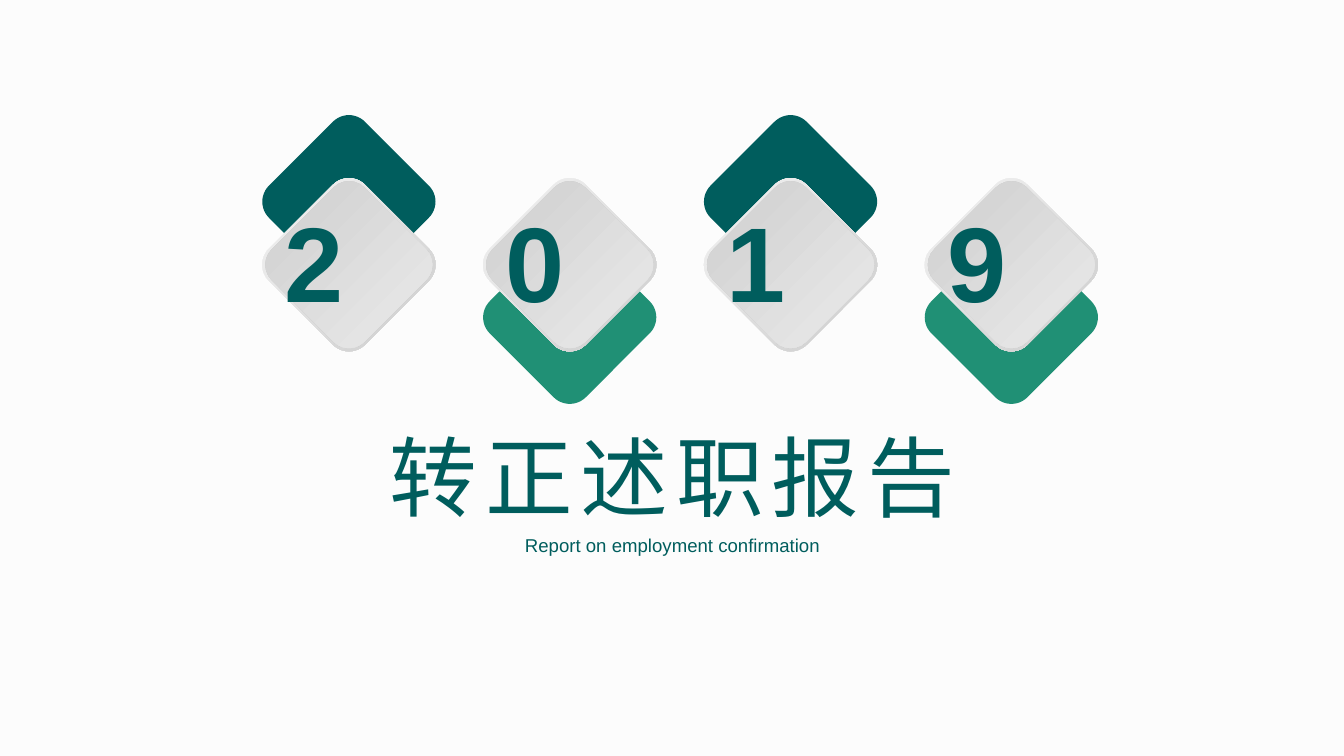
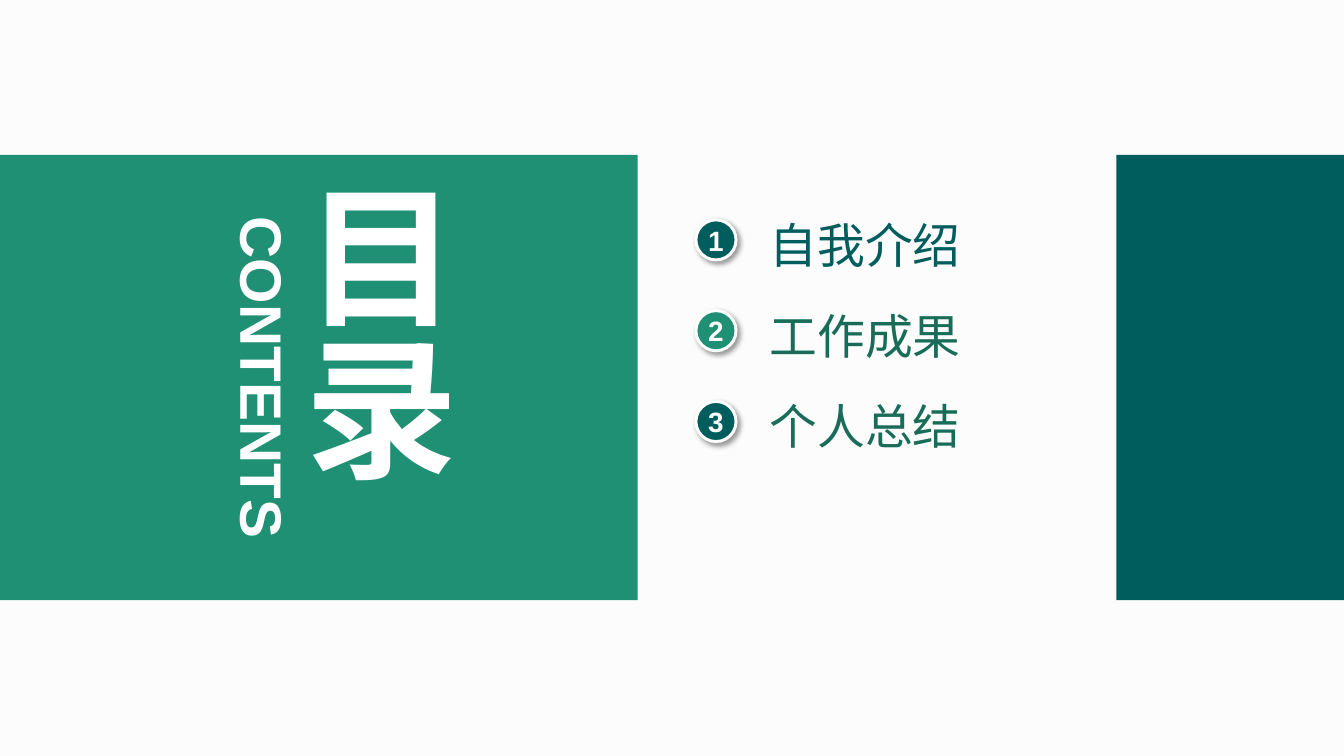
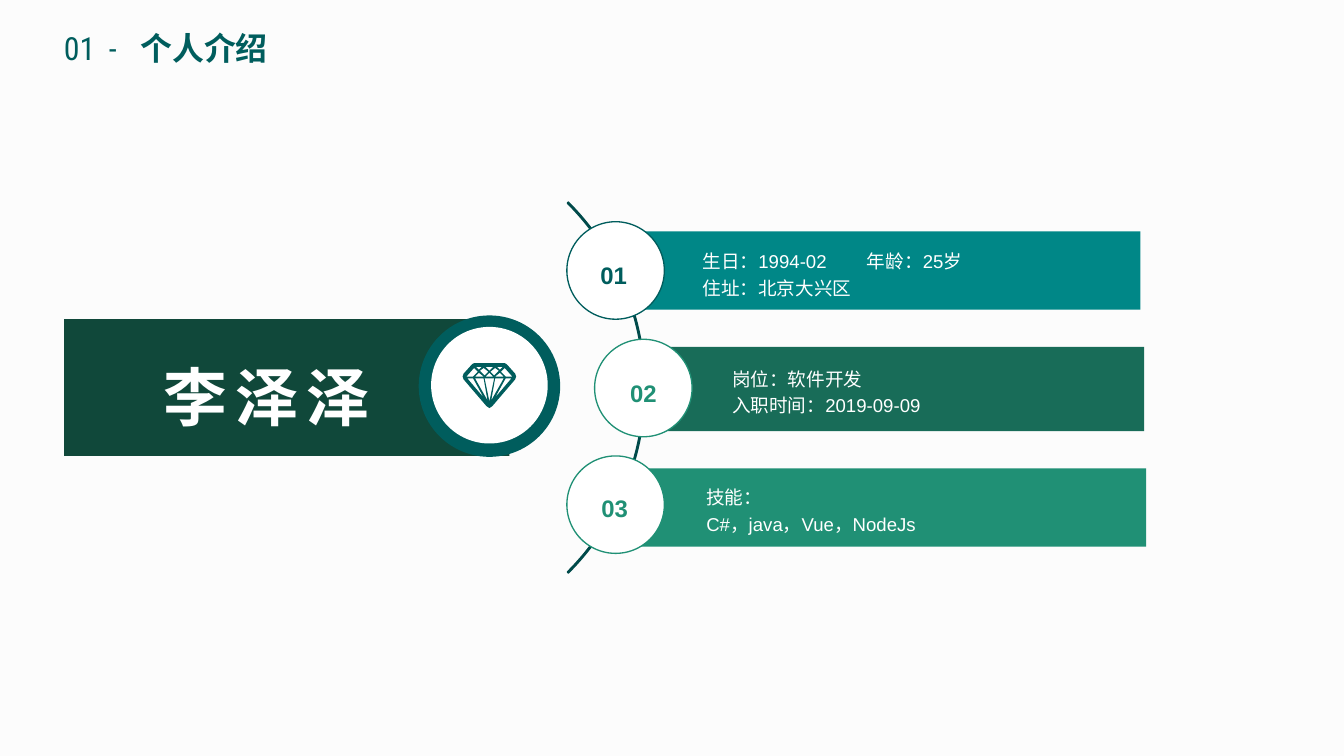
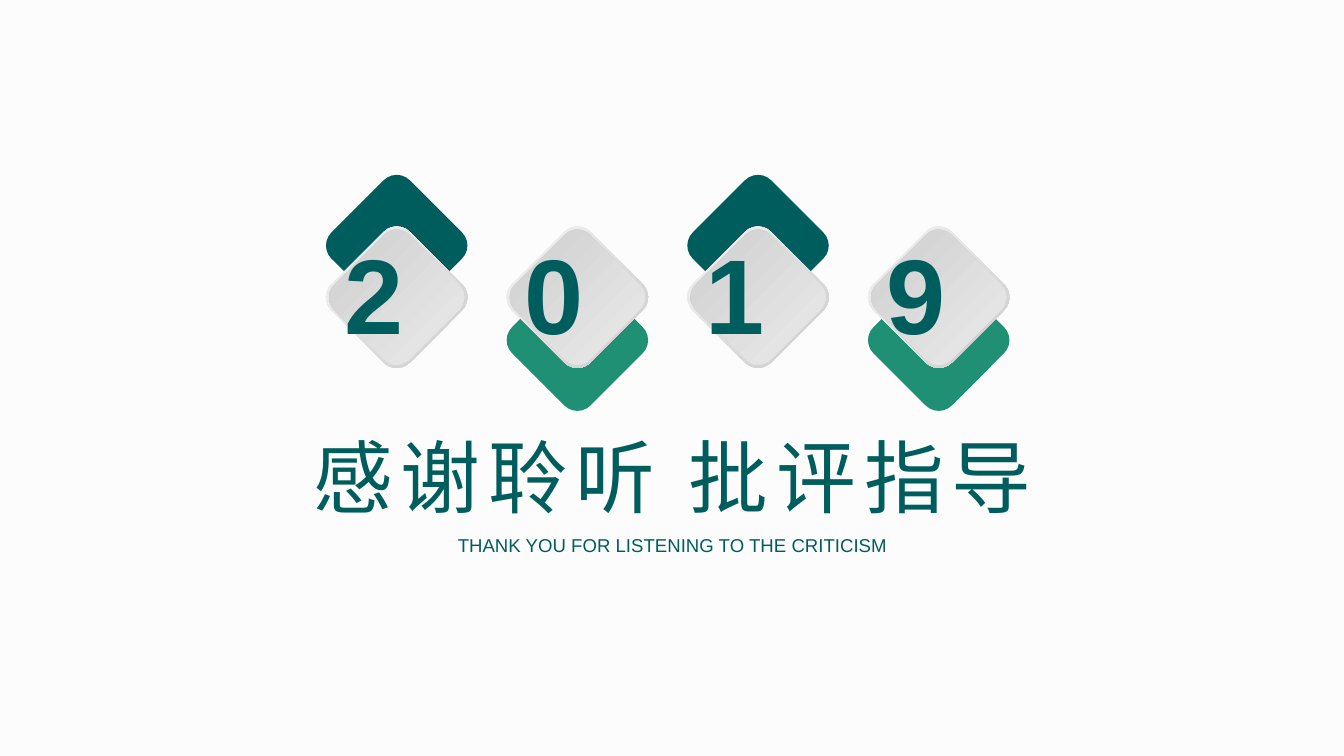
import pptx
import pptx.dml.color
import pptx.enum.shapes
import pptx.enum.text
import pptx.oxml
import pptx.oxml.ns
import pptx.util
import lxml.etree

Inches = pptx.util.Inches
Pt = pptx.util.Pt
SHAPES = pptx.enum.shapes.MSO_SHAPE
ALIGN = pptx.enum.text.PP_ALIGN
ANCHOR = pptx.enum.text.MSO_ANCHOR

# Shared style
BACKGROUND, WHITE = "FCFCFC", "FFFFFF"
TEAL, GREEN, PINE = "005D5D", "209075", "186C58"
FOREST, CYAN, ARC_COLOR = "10483A", "008787", "004A4A"
BODY_FONT, TITLE_FONT, HEADER_FONT = "Arial", "Noto Sans CJK SC", "Roboto Condensed"
SLIDE_WIDTH, SLIDE_HEIGHT = 14.06, 7.91

# Content
YEAR = "2019"
COVERS = {
    "opening": {
        "title": "转正述职报告", "title_size": 66, "title_box": (3.89, 4.38, 6.29, 1.21),
        "subtitle": "Report on employment confirmation",
        "first_center": 3.65, "center_y": 2.77, "pitch": 2.31, "side": 1.42,
        "rise": 0.66, "drop": 0.55, "digit_shift": -0.36,
    },
    "closing": {
        "title": "感谢聆听 批评指导", "title_size": 60, "title_box": (3.07, 4.43, 7.93, 1.11),
        "subtitle": "THANK YOU FOR LISTENING TO THE CRITICISM",
        "first_center": 4.15, "center_y": 3.11, "pitch": 1.89, "side": 1.16,
        "rise": 0.54, "drop": 0.45, "digit_shift": -0.24,
    },
}
CONTENTS = [("自我介绍", TEAL, TEAL), ("工作成果", GREEN, PINE), ("个人总结", TEAL, PINE)]
HEADER = ("01\t-\t", "个人介绍")
PERSON = "李泽泽"
# Bar box, bar colour, circle left and top, accent, number box, text box, lines
FACTS = [
    ((6.43, 2.42, 5.5, 0.82), CYAN, (5.93, 2.32), TEAL, (6.18, 2.62),
     (7.25, 2.52, 4.19), ["生日：1994-02\t年龄：25岁", "住址：北京大兴区"]),
    ((6.91, 3.63, 5.06, 0.88), PINE, (6.22, 3.55), GREEN, (6.49, 3.85),
     (7.56, 3.75, 4.42), ["岗位：软件开发", "入职时间：2019-09-09"]),
    ((6.62, 4.9, 5.37, 0.82), GREEN, (5.93, 4.77), GREEN, (6.19, 5.06),
     (7.29, 4.99, 3.99), ["技能：", "C#，java，Vue，NodeJs"]),
]
# Gem icon: left half of the outline, left facets and central facets
GEM_AXIS = 5.12
GEM_OUTLINE = [(5.12, 4.27), (5.09, 4.25), (4.85, 3.97), (4.84, 3.94),
               (4.85, 3.91), (4.94, 3.81), (4.96, 3.8)]
GEM_SIDE_FACETS = [
    [(4.96, 3.85), (5.0, 3.89), (4.95, 3.94), (4.88, 3.94)],
    [(5.06, 4.16), (4.89, 3.96), (4.95, 3.96)],
    [(5.06, 3.96), (5.1, 4.19), (4.97, 3.96)],
    [(5.01, 3.9), (5.06, 3.94), (4.97, 3.94)],
    [(5.01, 3.87), (4.98, 3.84), (5.04, 3.84)],
    [(5.07, 3.93), (5.02, 3.88), (5.06, 3.85), (5.11, 3.89)],
]
GEM_MIDDLE_FACETS = [
    [(5.12, 3.88), (5.08, 3.84), (5.16, 3.84)],
    [(5.17, 3.96), (5.12, 4.2), (5.07, 3.96)],
    [(5.16, 3.94), (5.08, 3.94), (5.12, 3.9)],
]


def color(value):
    return pptx.dml.color.RGBColor.from_string(value)


def style_run(run, size, text_color, bold=False, font=BODY_FONT, spacing=0):
    run.font.size = Pt(size)
    run.font.bold = bold
    run.font.name = font
    run.font.color.rgb = color(text_color)
    properties = run.font._element
    east_asian = lxml.etree.SubElement(properties, pptx.oxml.ns.qn("a:ea"))
    east_asian.set("typeface", font)
    if spacing:
        properties.set("spc", str(spacing * 100))


def set_tabs(paragraph, stops):
    tab_list = lxml.etree.SubElement(paragraph._p.get_or_add_pPr(), pptx.oxml.ns.qn("a:tabLst"))
    for stop in stops:
        tab = lxml.etree.SubElement(tab_list, pptx.oxml.ns.qn("a:tab"))
        tab.set("pos", str(Inches(stop)))
        tab.set("algn", "l")


def fill_text(shape, lines, size, text_color, align=ALIGN.CENTER, anchor=ANCHOR.TOP,
              inset=True, wrap=True, line_spacing=None, **run_style):
    frame = shape.text_frame
    frame.word_wrap = wrap
    frame.vertical_anchor = anchor
    if not inset:
        frame.margin_left = frame.margin_right = frame.margin_top = frame.margin_bottom = 0
    frame.text = "\n".join(lines)
    for paragraph in frame.paragraphs:
        paragraph.alignment = align
        if line_spacing:
            paragraph.line_spacing = line_spacing
        for run in paragraph.runs:
            style_run(run, size, text_color, **run_style)


def add_text(slide, box, lines, size, text_color, **style):
    shape = slide.shapes.add_textbox(*map(Inches, box))
    fill_text(shape, lines, size, text_color, **style)
    return shape


def add_block(slide, kind, box, fill, line=None, line_width=1):
    shape = slide.shapes.add_shape(kind, *map(Inches, box))
    shape.shadow.inherit = False
    shape.fill.solid()
    shape.fill.fore_color.rgb = color(fill)
    if line:
        shape.line.color.rgb = color(line)
        shape.line.width = Pt(line_width)
    else:
        shape.line.fill.background()
    return shape


def add_diamond(slide, center_x, center_y, side, fill, fill_end=None):
    box = (center_x - side / 2, center_y - side / 2, side, side)
    diamond = add_block(slide, SHAPES.ROUNDED_RECTANGLE, box, fill)
    diamond.rotation = 45
    if fill_end:
        diamond.fill.gradient()
        diamond.fill.gradient_angle = 0
        for stop, stop_color in zip(diamond.fill.gradient_stops, (fill, fill_end)):
            stop.color.rgb = color(stop_color)


def add_drop_shadow(shape):
    properties = shape._element.spPr
    effects = properties.find(pptx.oxml.ns.qn("a:effectLst"))
    properties.replace(effects, pptx.oxml.parse_xml(
        '<a:effectLst xmlns:a="http://schemas.openxmlformats.org/drawingml/2006/main">'
        '<a:outerShdw blurRad="50800" dist="38100" dir="2700000" algn="tl" rotWithShape="0">'
        '<a:srgbClr val="000000"><a:alpha val="40000"/></a:srgbClr>'
        '</a:outerShdw></a:effectLst>'))


def new_slide(presentation):
    slide = presentation.slides.add_slide(presentation.slide_layouts[6])
    slide.background.fill.solid()
    slide.background.fill.fore_color.rgb = color(BACKGROUND)
    return slide


def build_cover(presentation, cover):
    slide = new_slide(presentation)
    side, center_y = cover["side"], cover["center_y"]
    for index, digit in enumerate(YEAR):
        center_x = cover["first_center"] + index * cover["pitch"]
        # Coloured tile above or below, then the grey tile with its rim
        if index % 2 == 0:
            add_diamond(slide, center_x, center_y - cover["rise"], side, TEAL)
        else:
            add_diamond(slide, center_x, center_y + cover["drop"], side, GREEN)
        add_diamond(slide, center_x, center_y, side, "F8F8F8", "C8C8C8")
        add_diamond(slide, center_x, center_y, side - 0.05, "CCCCCC", "EDEDED")
        add_text(slide, (center_x + cover["digit_shift"] - 0.5, center_y - 0.7, 1, 1.3),
                 [digit], 80, TEAL, anchor=ANCHOR.MIDDLE, inset=False, bold=True)
    add_text(slide, cover["title_box"], [cover["title"]], cover["title_size"], TEAL,
             font=TITLE_FONT, spacing=6)
    add_text(slide, (3.89, 5.54, 6.29, 0.34), [cover["subtitle"]], 14, TEAL)


def build_contents(presentation):
    slide = new_slide(presentation)
    band_top, band_height = 1.62, 4.66
    add_block(slide, SHAPES.RECTANGLE, (0, band_top, 6.67, band_height), GREEN)
    add_block(slide, SHAPES.RECTANGLE,
              (11.68, band_top, SLIDE_WIDTH - 11.68, band_height), TEAL)
    # Numbered entries
    for index, (label, badge_color, label_color) in enumerate(CONTENTS):
        top = 2.3 + index * 0.95
        badge = add_block(slide, SHAPES.OVAL, (7.28, top, 0.42, 0.42), badge_color, WHITE, 2.25)
        add_drop_shadow(badge)
        fill_text(badge, [str(index + 1)], 21, WHITE, anchor=ANCHOR.MIDDLE,
                  inset=False, bold=True)
        add_text(slide, (8.05, top - 0.05, 2.7, 0.61), [label], 36, label_color,
                 align=ALIGN.LEFT, anchor=ANCHOR.MIDDLE, inset=False)
    # Vertical headings
    heading = add_text(slide, (2.97, 1.88, 1.94, 4.15), ["目录"], 115, WHITE,
                       anchor=ANCHOR.MIDDLE, inset=False, bold=True)
    heading.text_frame._txBody.bodyPr.set("vert", "eaVert")
    caption = add_text(slide, (0.95, 3.58, 3.61, 0.74), ["CONTENTS"], 44, WHITE,
                       inset=False, bold=True)
    caption.rotation = 90


def mirror(points):
    return [(2 * GEM_AXIS - x, y) for x, y in reversed(points)]


def add_gem(slide):
    contours = [GEM_OUTLINE + mirror(GEM_OUTLINE)[:-1]]
    contours += GEM_SIDE_FACETS + [mirror(facet) for facet in GEM_SIDE_FACETS]
    contours += GEM_MIDDLE_FACETS
    contours = [[(Inches(x), Inches(y)) for x, y in contour] for contour in contours]
    builder = slide.shapes.build_freeform(*contours[0][0])
    for index, contour in enumerate(contours):
        if index:
            builder.move_to(*contour[0])
        builder.add_line_segments(contour[1:], close=True)
    gem = builder.convert_to_shape()
    gem.shadow.inherit = False
    gem.fill.solid()
    gem.fill.fore_color.rgb = color(TEAL)
    gem.line.fill.background()


def build_profile(presentation):
    slide = new_slide(presentation)
    # Header
    header = add_text(slide, (0.57, 0.05, 3.54, 0.63), [HEADER[0]], 24, TEAL,
                      align=ALIGN.LEFT, line_spacing=1.5, font=HEADER_FONT)
    paragraph = header.text_frame.paragraphs[0]
    set_tabs(paragraph, (0.47, 0.8))
    run = paragraph.add_run()
    run.text = HEADER[1]
    style_run(run, 24, TEAL, bold=True, font=HEADER_FONT)
    # Name plate
    add_block(slide, SHAPES.RECTANGLE, (0.67, 3.34, 4.66, 1.43), FOREST)
    add_block(slide, SHAPES.OVAL, (4.38, 3.3, 1.48, 1.48), TEAL)
    add_block(slide, SHAPES.OVAL, (4.51, 3.42, 1.22, 1.22), WHITE)
    add_gem(slide)
    add_text(slide, (1.36, 3.53, 2.87, 0.99), [PERSON], 48, WHITE,
             line_spacing=1.2, bold=True, spacing=6)
    # Arc with the three facts
    arc = add_block(slide, SHAPES.BLOCK_ARC, (1.26, 1.31, 5.49, 5.49), ARC_COLOR, ARC_COLOR)
    for index, value in enumerate((189, 27, 0.003)):
        arc.adjustments[index] = value
    for number, fact in enumerate(FACTS, start=1):
        bar_box, bar_color, circle_corner, accent, number_corner, text_box, lines = fact
        add_block(slide, SHAPES.RECTANGLE, bar_box, bar_color)
        add_block(slide, SHAPES.OVAL, circle_corner + (1.02, 1.02), WHITE, accent)
        add_text(slide, number_corner + (0.48, 0.46), [f"{number:02d}"], 18, accent,
                 wrap=False, line_spacing=1.2, bold=True)
        details = add_text(slide, text_box + (0.64,), lines, 14, WHITE,
                           align=ALIGN.JUSTIFY, line_spacing=1.2)
        if "\t" in lines[0]:
            set_tabs(details.text_frame.paragraphs[0], (1.72,))


def main():
    presentation = pptx.Presentation()
    presentation.slide_width = Inches(SLIDE_WIDTH)
    presentation.slide_height = Inches(SLIDE_HEIGHT)
    build_cover(presentation, COVERS["opening"])
    build_contents(presentation)
    build_profile(presentation)
    build_cover(presentation, COVERS["closing"])
    presentation.save("out.pptx")


if __name__ == "__main__":
    main()
